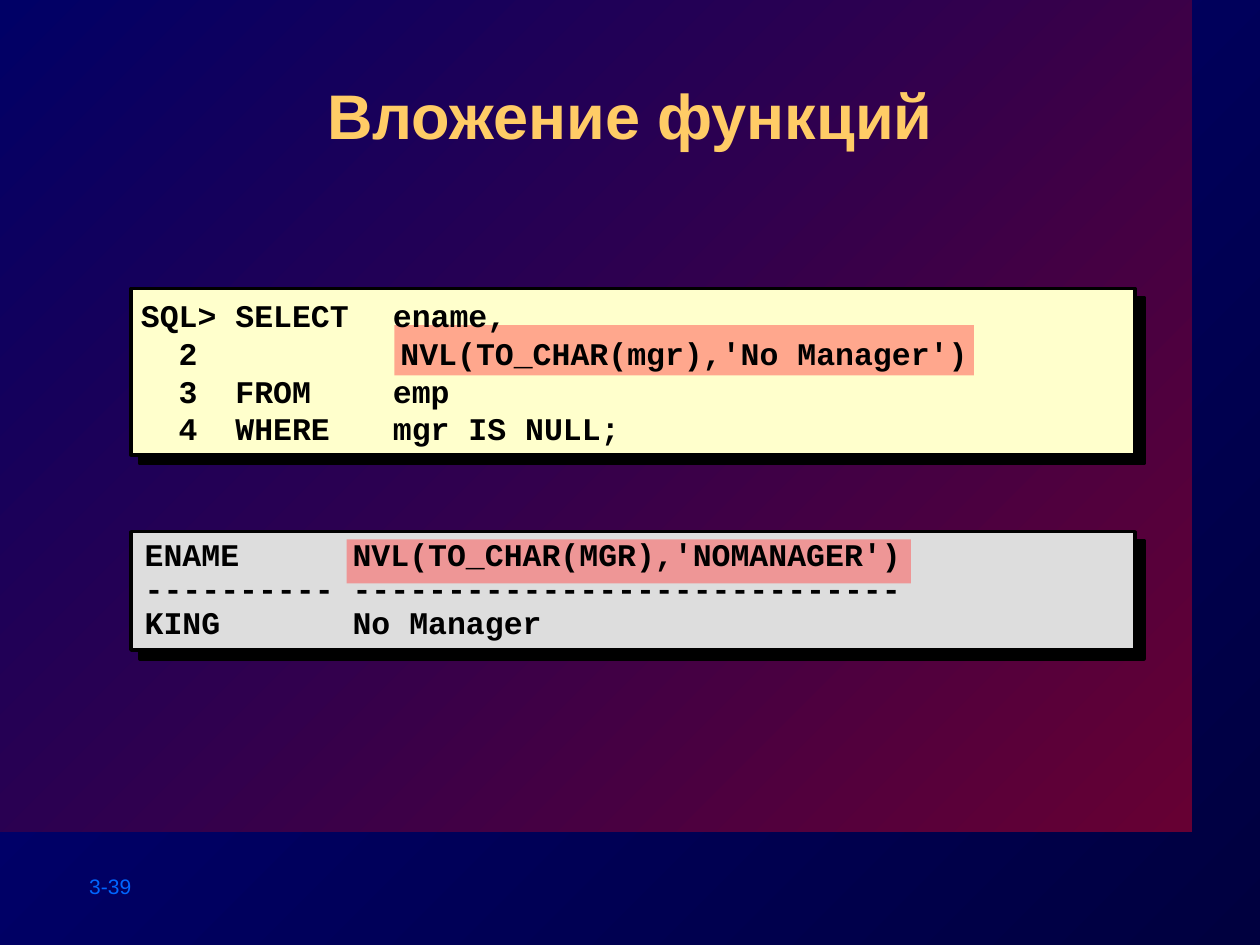
"""Build the slide on nested SQL functions."""
from lxml.etree import SubElement
from pptx import Presentation
from pptx.dml.color import RGBColor
from pptx.enum.shapes import MSO_SHAPE
from pptx.enum.text import MSO_ANCHOR, MSO_AUTO_SIZE, PP_ALIGN
from pptx.oxml import parse_xml
from pptx.oxml.ns import nsdecls, qn
from pptx.util import Inches, Pt

COLORS = {
    "night": "00003F", "navy": "000080", "wine": "660033", "indigo": "000066",
    "gold": "FFCC66", "blue": "0066FF", "black": "000000",
    "cream": "FFFFCC", "gray": "DDDDDD", "red": "FF5050",
}
TAB_STOPS = (1.31, 2, 3, 4, 5, 6, 7)
QUERY = (
    "SQL> SELECT\tename,",
    "  2\t     NVL(TO_CHAR(mgr),'No Manager')",
    "  3  FROM\temp",
    "  4  WHERE\tmgr IS NULL;",
)
RESULT = (
    "ENAME      NVL(TO_CHAR(MGR),'NOMANAGER')",
    "---------- -----------------------------",
    "KING       No Manager",
)


def color(name):
    return RGBColor.from_string(COLORS[name])


def shadow_effect(distance):
    return parse_xml(
        f'<a:effectLst {nsdecls("a")}><a:outerShdw dist="{Pt(distance)}" dir="2700000" '
        f'algn="ctr" rotWithShape="0"><a:srgbClr val="{COLORS["black"]}"/>'
        '</a:outerShdw></a:effectLst>')


def fill_gradient(fill, start, end):
    fill.gradient()
    fill.gradient_angle = 135
    for stop, name, position in zip(fill.gradient_stops, (start, end), (0, 1)):
        stop.color.rgb = color(name)
        stop.position = position


def write_text(shape, *lines, font="Arial", size=18, fill="black", bold=False,
               align=PP_ALIGN.LEFT, anchor=MSO_ANCHOR.TOP, spacing=1.0,
               tabs=(), shadow=None):
    frame = shape.text_frame
    frame.word_wrap = True
    frame.auto_size = MSO_AUTO_SIZE.NONE
    frame.vertical_anchor = anchor
    for index, line in enumerate(lines):
        paragraph = frame.add_paragraph() if index else frame.paragraphs[0]
        paragraph.alignment = align
        if tabs:
            tab_list = SubElement(paragraph._p.get_or_add_pPr(), qn("a:tabLst"))
            for stop in tabs:
                SubElement(tab_list, qn("a:tab"), pos=str(Inches(stop)), algn="l")
        paragraph.line_spacing = spacing
        run = paragraph.add_run()
        run.text = line
        run.font.name = font
        run.font.size = Pt(size)
        run.font.bold = bold
        run.font.color.rgb = color(fill)
        if shadow:
            run._r.rPr.find(qn("a:solidFill")).addnext(shadow_effect(shadow))


class SlideBuilder:
    """Hold the code style and the current slide."""

    code_style = {"font": "Courier New", "size": 18, "bold": True, "tabs": TAB_STOPS}

    def __init__(self, presentation):
        self.slide = presentation.slides.add_slide(presentation.slide_layouts[5])
        fill_gradient(self.slide.background.fill, "night", "navy")

    def rectangle(self, *box):
        shape = self.slide.shapes.add_shape(MSO_SHAPE.RECTANGLE, *map(Inches, box))
        shape.shadow.inherit = False
        shape.line.fill.background()
        return shape

    def backdrop(self, *box):
        shape = self.rectangle(*box)
        fill_gradient(shape.fill, "wine", "indigo")
        self.slide.shapes.title._element.addprevious(shape._element)

    def code_panel(self, *box, fill):
        shape = self.rectangle(*box)
        shape.fill.solid()
        shape.fill.fore_color.rgb = color(fill)
        shape.line.color.rgb = color("black")
        shape.line.width = Pt(2)
        properties = shape._element.spPr
        properties.replace(properties.find(qn("a:effectLst")), shadow_effect(7.1))

    def highlight(self, *box):
        shape = self.rectangle(*box)
        shape.fill.solid()
        shape.fill.fore_color.rgb = color("red")
        rgb = shape._element.spPr.find(qn("a:solidFill")).find(qn("a:srgbClr"))
        SubElement(rgb, qn("a:alpha"), val="50000")

    def title(self, text, *box):
        shape = self.slide.shapes.title
        shape.left, shape.top, shape.width, shape.height = map(Inches, box)
        write_text(shape, text, size=36, fill="gold", bold=True,
                   align=PP_ALIGN.CENTER, shadow=4)

    def text(self, lines, *box, **style):
        shape = self.slide.shapes.add_textbox(*map(Inches, box))
        write_text(shape, *lines, **style)

    def code(self, lines, *box, **style):
        self.text(lines, *box, **self.code_style, **style)


def main():
    presentation = Presentation()
    presentation.slide_width = Inches(10)
    presentation.slide_height = Inches(7.5)
    builder = SlideBuilder(presentation)
    builder.backdrop(0, 0, 9.46, 6.6)
    builder.text(["3-39"], 0.61, 6.88, 1.11, 0.3, size=12, fill="blue")
    builder.title("Вложение функций", 1.01, 0.56, 7.98, 0.96)
    builder.code_panel(1.04, 2.29, 7.97, 1.32, fill="cream")
    builder.code_panel(1.04, 4.22, 7.97, 0.94, fill="gray")
    builder.highlight(3.13, 2.58, 4.6, 0.4)
    builder.highlight(2.75, 4.28, 4.48, 0.35)
    builder.code(QUERY, 1.02, 2.15, 8, 1.6, anchor=MSO_ANCHOR.MIDDLE)
    builder.code(RESULT, 1.05, 4.23, 7.94, 0.91, spacing=0.9)
    presentation.save("out.pptx")


if __name__ == "__main__":
    main()
